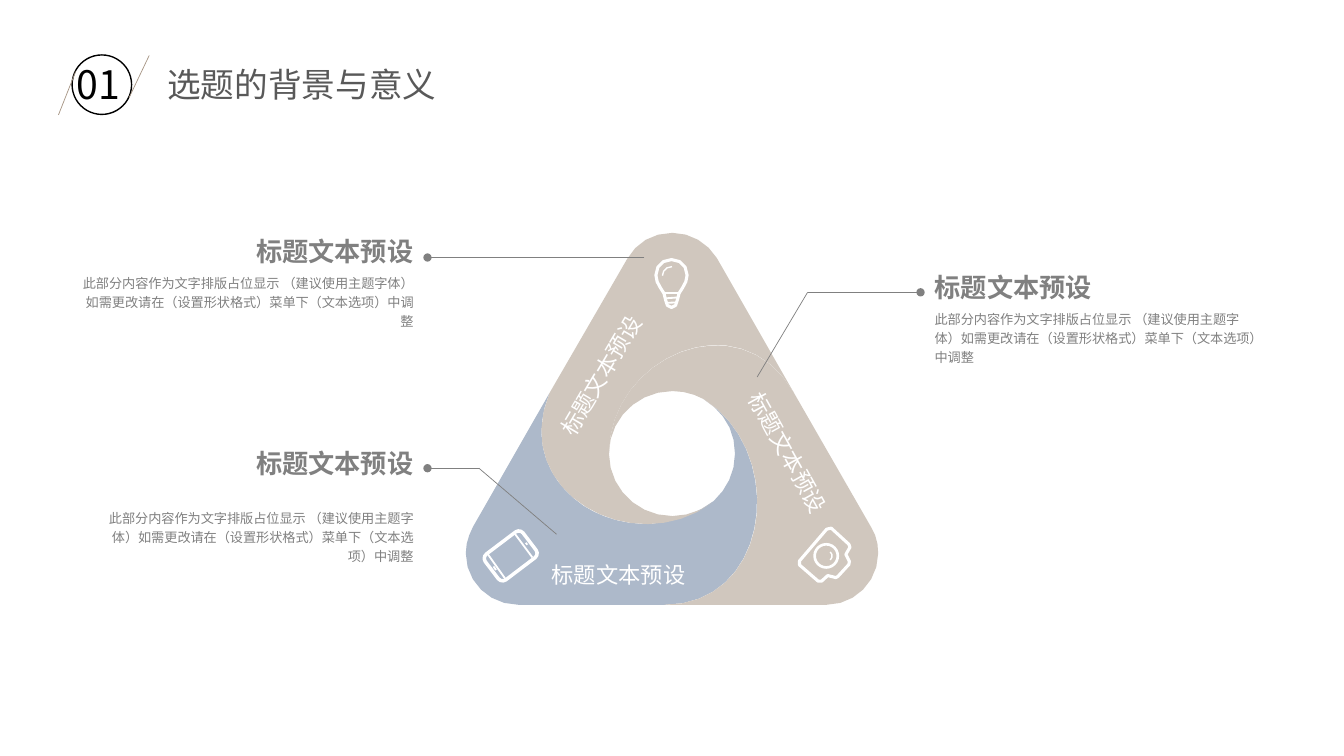
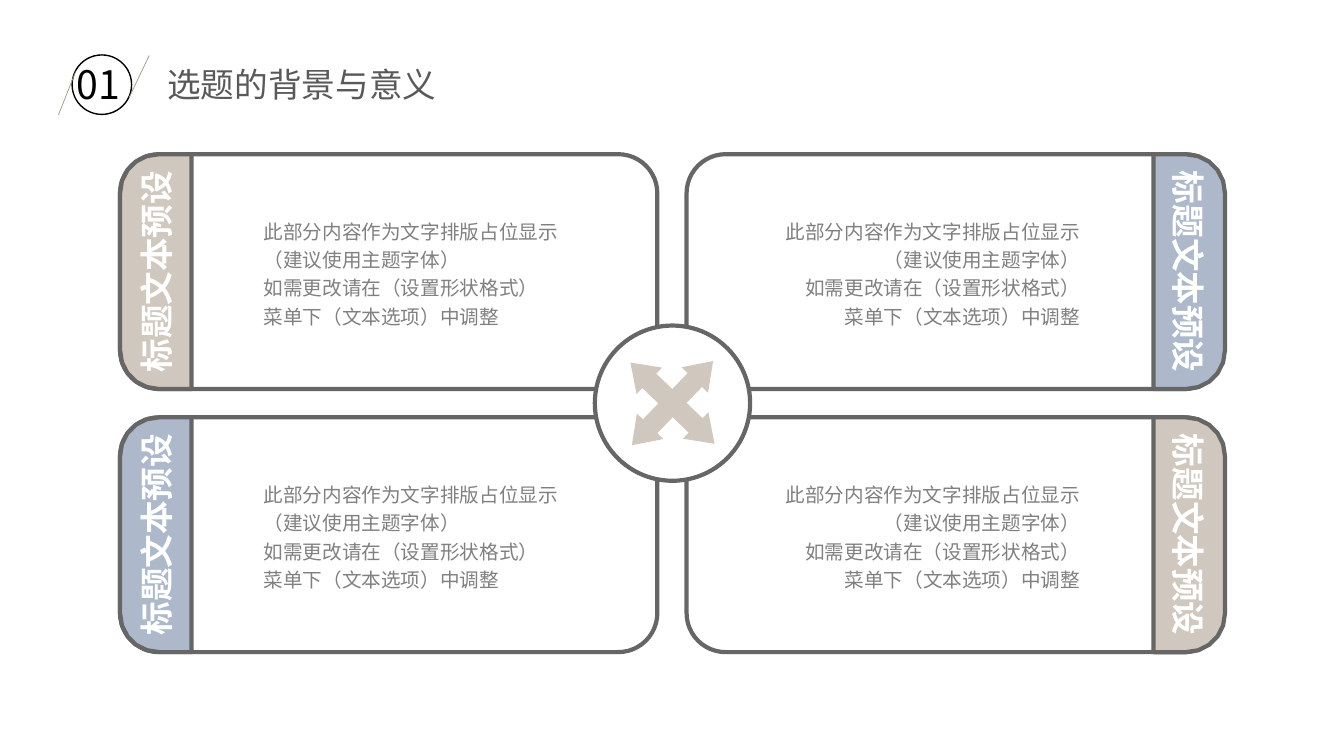
import math

from lxml import etree
from pptx import Presentation
from pptx import util as u
from pptx.dml.color import RGBColor
from pptx.enum import shapes, text
from pptx.oxml.ns import qn

# Grid: 1333 columns by 750 rows
CELL = u.Inches(0.01)
COLUMNS, ROWS = 1333, 750

SAND, BLUE, WHITE = "D0C7BE", "ADB9CA", "FFFFFF"
GRAY, FRAME, INK, BRONZE, BLACK = "808080", "666666", "595959", "A69584", "000000"
CJK = "Noto Sans CJK SC"
HEADING = "标题文本预设"
LEFT, CENTER, RIGHT = text.PP_ALIGN.LEFT, text.PP_ALIGN.CENTER, text.PP_ALIGN.RIGHT
TOP, MIDDLE = text.MSO_ANCHOR.TOP, text.MSO_ANCHOR.MIDDLE
STRAIGHT = shapes.MSO_CONNECTOR.STRAIGHT
KIND = shapes.MSO_SHAPE


def dress(shape, fill=None, line=None, weight=1, words="", size=18, color=BLACK, bold=False,
          font=CJK, align=LEFT, anchor=TOP, wrap=True, inset=(10, 5, 10, 5), spacing=None):
    """Set fill, outline and text of any shape, with colours as hex strings."""
    if hasattr(shape, "fill"):
        shape.shadow.inherit = False
        if fill:
            shape.fill.solid()
            shape.fill.fore_color.rgb = RGBColor.from_string(fill)
        else:
            shape.fill.background()
    if line:
        shape.line.color.rgb = RGBColor.from_string(line)
        shape.line.width = u.Pt(weight)
    else:
        shape.line.fill.background()
    if not hasattr(shape, "fill"):
        etree.SubElement(shape._element.spPr, qn("a:effectLst"))
    if words:
        frame = shape.text_frame
        frame.text = words
        frame.auto_size = text.MSO_AUTO_SIZE.NONE
        frame.word_wrap = wrap
        frame.vertical_anchor = anchor
        (frame.margin_left, frame.margin_top,
         frame.margin_right, frame.margin_bottom) = [v * CELL for v in inset]
        for para in frame.paragraphs:
            para.alignment = align
            para.line_spacing = spacing
            for span in para.runs:
                span.font.size = u.Pt(size)
                span.font.bold = bold
                span.font.name = font
                span.font.color.rgb = RGBColor.from_string(color)
                latin = span.font._element.find(qn("a:latin"))
                latin.addnext(etree.Element(qn("a:ea"), typeface=CJK))


def trace(page, outline, closed=True):
    """Draw an outline: pairs are corners, sextets are cubic curves."""
    points = [outline[0]]
    for step in outline[1:]:
        if len(step) == 2:
            points.append(step)
            continue
        x0, y0 = points[-1]
        x1, y1, x2, y2, x3, y3 = step
        count = max(3, round(math.hypot(x3 - x0, y3 - y0) / 12))
        for t in [n / count for n in range(1, count + 1)]:
            a, b, c, d = (1 - t) ** 3, 3 * t * (1 - t) ** 2, 3 * t * t * (1 - t), t ** 3
            points.append((a * x0 + b * x1 + c * x2 + d * x3, a * y0 + b * y1 + c * y2 + d * y3))
    points = [(x * CELL, y * CELL) for x, y in points]
    builder = page.shapes.build_freeform(*points[0])
    builder.add_line_segments(points[1:], close=closed)
    return builder.convert_to_shape()


deck = Presentation()
deck.slide_width, deck.slide_height = COLUMNS * CELL, ROWS * CELL

# Shared header: title, ringed number and two slashes
for _ in range(2):
    page = deck.slides.add_slide(deck.slide_layouts[5])
    title = page.shapes.title
    title.left, title.top, title.width, title.height = [v * CELL for v in (156, 58, 332, 50)]
    dress(title, words="选题的背景与意义", size=24, color=INK, font="Arial")
    ring = page.shapes.add_shape(KIND.OVAL, *[int(v * CELL) for v in (71.5, 54.5, 59, 59)])
    dress(ring, line=BLACK)
    for slash in [(75, 71, 58, 114), (148, 55, 128, 97)]:
        dress(page.shapes.add_connector(STRAIGHT, *[v * CELL for v in slash]),
              line=BRONZE, weight=0.5)
    number = page.shapes.add_textbox(*[v * CELL for v in (66, 55, 103, 57)])
    dress(number, words="01", size=28)

cycle_page, panel_page = deck.slides

# Slide 1: three swirling pieces of the triangle
pieces = [
    (BLUE, [(469, 523), (545, 390), (525, 439, 545, 479, 579, 502), (615, 525, 666, 528, 708, 497),
            (721, 485, 729, 469, 729, 450), (729, 426, 717, 408, 698, 396),
            (780, 447, 766, 599, 660, 600), (514, 600), (485, 600, 462, 577, 462, 549),
            (462, 539, 465, 531, 469, 523)]),
    (SAND, [(545, 390), (622, 257), (631, 241, 647, 231, 667, 231), (685, 231, 702, 241, 711, 256),
            (787, 389), (733, 296, 604, 355, 604, 450), (604, 484, 632, 512, 667, 512),
            (681, 512, 695, 507, 706, 499), (629, 556, 504, 489, 545, 390)]),
    (SAND, [(787, 389), (864, 523), (869, 531, 871, 539, 871, 549), (871, 577, 848, 600, 820, 600),
            (659, 600), (766, 600, 781, 448, 698, 396), (689, 391, 678, 388, 667, 388),
            (632, 388, 604, 416, 604, 450), (604, 355, 733, 297, 787, 389)]),
]
for color, outline in pieces:
    dress(trace(cycle_page, outline), fill=color)

for left, top, angle in [(522, 361, 300.6), (710, 425, 61.1), (537, 552, 0)]:
    label = cycle_page.shapes.add_textbox(*[v * CELL for v in (left, top, 138, 34)])
    label.rotation = angle
    dress(label, words=HEADING, size=15.9, color=WHITE, wrap=False)

# Phone icon body and camera lens
phone = cycle_page.shapes.add_shape(KIND.ROUNDED_RECTANGLE,
                                    *[int(v * CELL) for v in (490.5, 528, 32, 47)])
phone.rotation = 52.9
dress(phone, line=WHITE, weight=2.5)
lens = cycle_page.shapes.add_shape(KIND.OVAL, *[v * CELL for v in (808, 540, 23, 23)])
dress(lens, line=WHITE, weight=1.9)

# Bulb, bulb glint, camera body and lens glint
icon_outlines = [
    (2.2, True, [(666, 257.5), (675, 257.5, 681.5, 264, 681.5, 273), (681.5, 280, 677, 285, 673.5, 291),
                 (671, 298, 672, 305, 666, 305), (660, 305, 661, 298, 658.5, 291),
                 (655, 285, 650.5, 280, 650.5, 273), (650.5, 264, 657, 257.5, 666, 257.5)]),
    (1, False, [(657, 273.5), (657, 268.5, 661, 264.5, 666.5, 264.5)]),
    (2.2, True, [(815, 576.5), (821, 571), (829, 573), (831, 572), (842, 560), (842.5, 557),
                 (839, 550), (843, 543), (842, 540), (824.5, 524), (820, 525), (793, 556.5),
                 (793, 560.5), (811.5, 576.5)]),
    (1, False, [(823.5, 547.5), (826, 550, 826, 553, 823.5, 555.5)]),
]
for weight, closed, outline in icon_outlines:
    dress(trace(cycle_page, outline, closed), line=WHITE, weight=weight)

# Bulb threads, then phone screen edges, button and speaker
icon_strokes = [
    (658, 290.5, 674, 290.5), (660, 296, 673, 295), (661, 300.5, 671, 300),
    (484, 550, 501, 574), (511, 530, 528, 553), (489.5, 562, 492, 565.5), (521.5, 538.5, 523, 540.5),
]
for stroke in icon_strokes:
    dress(cycle_page.shapes.add_connector(STRAIGHT, *[int(v * CELL) for v in stroke]),
          line=WHITE, weight=1.3)

# Leader lines, dotted at the caption end
leaders = [
    (False, (751, 374, 801, 290)), (True, (801, 290, 913, 290)),
    (True, (639, 255.5, 424, 255.5)),
    (False, (552, 530, 475, 464.5)), (True, (475, 464.5, 424, 464.5)),
]
for dotted, ends in leaders:
    leader = cycle_page.shapes.add_connector(STRAIGHT, *[int(v * CELL) for v in ends])
    dress(leader, line=GRAY, weight=0.5)
    if dotted:
        stroke = leader._element.spPr.find(qn("a:ln"))
        etree.SubElement(stroke, qn("a:tailEnd"), type="oval")

# Captions: heading over body
body = "此部分内容作为文字排版占位显示 （建议使用主题字体）如需更改请在（设置形状格式）菜单下（文本选项）中调整"
captions = [(927, 327, 270, 300, LEFT), (79, 331, 234, 264, RIGHT), (103, 307, 444, 497, RIGHT)]
for left, width, heading_top, body_top, align in captions:
    heading = cycle_page.shapes.add_textbox(*[v * CELL for v in (left, heading_top, width, 30)])
    dress(heading, words=HEADING, size=18.7, color=GRAY, bold=True, align=align,
          anchor=MIDDLE, wrap=False, inset=(0, 0, 0, 0))
    passage = cycle_page.shapes.add_textbox(*[v * CELL for v in (left, body_top, width, 68)])
    dress(passage, words=body, size=9.4, color=GRAY, align=align,
          anchor=MIDDLE, inset=(0, 0, 0, 0), spacing=1.2)

# Slide 2: two by two panels
PANEL_W, PANEL_H, TAB_W, CORNER = 533, 233, 71, 39
panel_lefts, panel_tops = (119, 681), (153, 414)
panel_text = """此部分内容作为文字排版占位显示
（建议使用主题字体）
如需更改请在（设置形状格式）
菜单下（文本选项）中调整"""
for top in panel_tops:
    for left, align, inset in zip(panel_lefts, (LEFT, RIGHT), ((131, 5, 10, 5), (10, 5, 131, 5))):
        panel = panel_page.shapes.add_shape(KIND.ROUNDED_RECTANGLE,
                                            *[v * CELL for v in (left, top, PANEL_W, PANEL_H)])
        dress(panel, line=FRAME, weight=3, words=panel_text, size=14, color=GRAY,
              align=align, anchor=MIDDLE, inset=inset, spacing=1.2)

# Central hub with four-way arrow
hub = panel_page.shapes.add_shape(KIND.OVAL, *[v * CELL for v in (590, 323, 154, 154)])
dress(hub, fill=WHITE, line=FRAME, weight=3)
arrow = panel_page.shapes.add_shape(KIND.QUAD_ARROW, *[v * CELL for v in (609, 342, 116, 116)])
for index, share in enumerate((0.171, 0.157, 0.225)):
    arrow.adjustments[index] = share
arrow.rotation = 44
dress(arrow, fill=SAND)

# Side tabs, turned round on the right
BEND = 17
tab_lefts = (panel_lefts[0], panel_lefts[1] + PANEL_W + 1 - TAB_W)
for row, top in enumerate(panel_tops):
    for column, left in enumerate(tab_lefts):
        right, bottom = left + TAB_W, top + PANEL_H
        tab = trace(panel_page, [
            (left + CORNER, top), (right, top), (right, bottom), (left + CORNER, bottom),
            (left + BEND, bottom, left, bottom - BEND, left, bottom - CORNER), (left, top + CORNER),
            (left, top + BEND, left + BEND, top, left + CORNER, top)])
        tab.rotation = 180 * column
        dress(tab, fill=(SAND, BLUE)[(row + column) % 2], line=FRAME, weight=3, words=HEADING,
              size=24, color=WHITE, bold=True, align=CENTER, anchor=MIDDLE, wrap=False)
        tab.text_frame._txBody.bodyPr.set("vert", "vert270")

deck.save("out.pptx")
